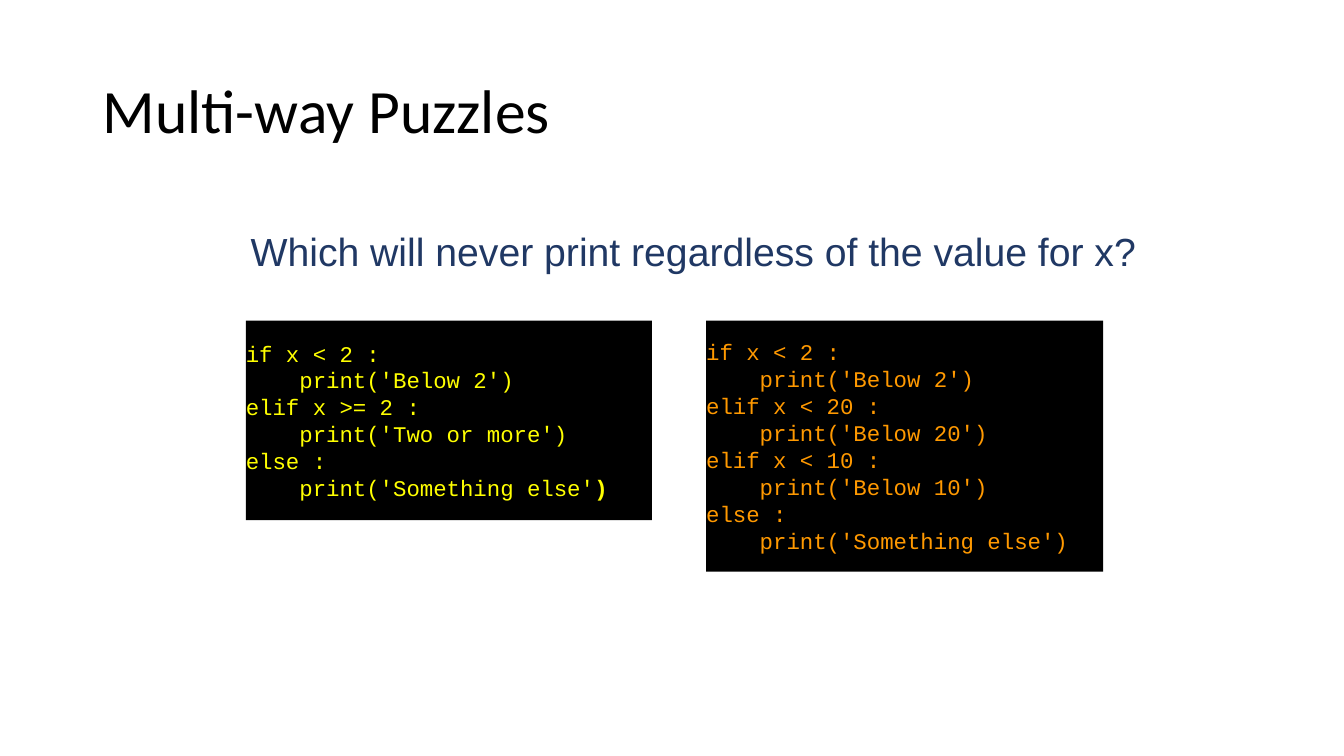
from pptx import Presentation
from pptx.dml.color import RGBColor
from pptx.enum.shapes import MSO_SHAPE
from pptx.enum.text import MSO_ANCHOR, PP_ALIGN
from pptx.util import Emu, Pt

SCALE = 9144

FIRST = """if x < 2 :
    print('Below 2')
elif x >= 2 :
    print('Two or more')
else :
    print('Something else'"""

SECOND = """if x < 2 :
    print('Below 2')
elif x < 20 :
    print('Below 20')
elif x < 10 :
    print('Below 10')
else :
    print('Something else')"""


def px(num):
    """Turn px into EMU."""
    return Emu(num * SCALE)


def color(code):
    """Turn a hex string into a colour."""
    return RGBColor.from_string(code)


def style(font, face, size, ink, bold=False):
    """Set the look of a font."""
    font.name, font.size, font.bold = face, Pt(size), bold
    font.color.rgb = color(ink)


def write(shape, text, face, size, ink, align=PP_ALIGN.LEFT, inset=(0, 0), space=1.0, tail=""):
    """Fill a shape with lines of text and an optional bold tail."""
    frame = shape.text_frame
    frame.word_wrap = True
    frame.vertical_anchor = MSO_ANCHOR.MIDDLE
    frame.margin_left = frame.margin_right = px(inset[0])
    frame.margin_top = frame.margin_bottom = px(inset[1])
    for num, line in enumerate(text.split("\n")):
        para = frame.add_paragraph() if num else frame.paragraphs[0]
        para.alignment, para.line_spacing = align, space
        run = para.add_run()
        run.text = line
        style(run.font, face, size, ink)
    if tail:
        run = para.add_run()
        run.text = tail
        style(run.font, face, size, ink, bold=True)


def label(slide, box, text, **form):
    """Place a line of text in a box."""
    write(slide.shapes.add_textbox(*map(px, box)), text, **form)


def code(slide, box, text, ink, tail=""):
    """Place a black panel of code in a box."""
    panel = slide.shapes.add_shape(MSO_SHAPE.RECTANGLE, *map(px, box))
    panel.shadow.inherit = False
    panel.fill.solid()
    panel.fill.fore_color.rgb = color("000000")
    panel.line.fill.background()
    write(panel, text, face="Courier New", size=16, ink=ink, tail=tail)


def puzzle(slide, box):
    """Place the title, the question and both code panels in a box."""
    left, top, wide, high = box
    label(slide, (left + 92, top + 40, wide - 184, 145), "Multi-way Puzzles",
          face="Calibri", size=44, ink="000000", inset=(10, 5), space=0.9)
    label(slide, (left + 242, top + 219, 892, 60),
          "Which will never print regardless of the value for x?",
          face="Arial", size=28, ink="203864", align=PP_ALIGN.CENTER)
    row = top + 318
    code(slide, (left + 244, row, 403, 198), FIRST, "FFFF00", tail=")")
    code(slide, (left + 701, row, 394, 249), SECOND, "FF9900")


def main():
    """Build and save the deck."""
    deck = Presentation()
    wide, high = 1334, 750
    deck.slide_width, deck.slide_height = px(wide), px(high)
    slide = deck.slides.add_slide(deck.slide_layouts[6])
    puzzle(slide, (0, 0, wide, high))
    deck.save("out.pptx")


if __name__ == "__main__":
    main()
